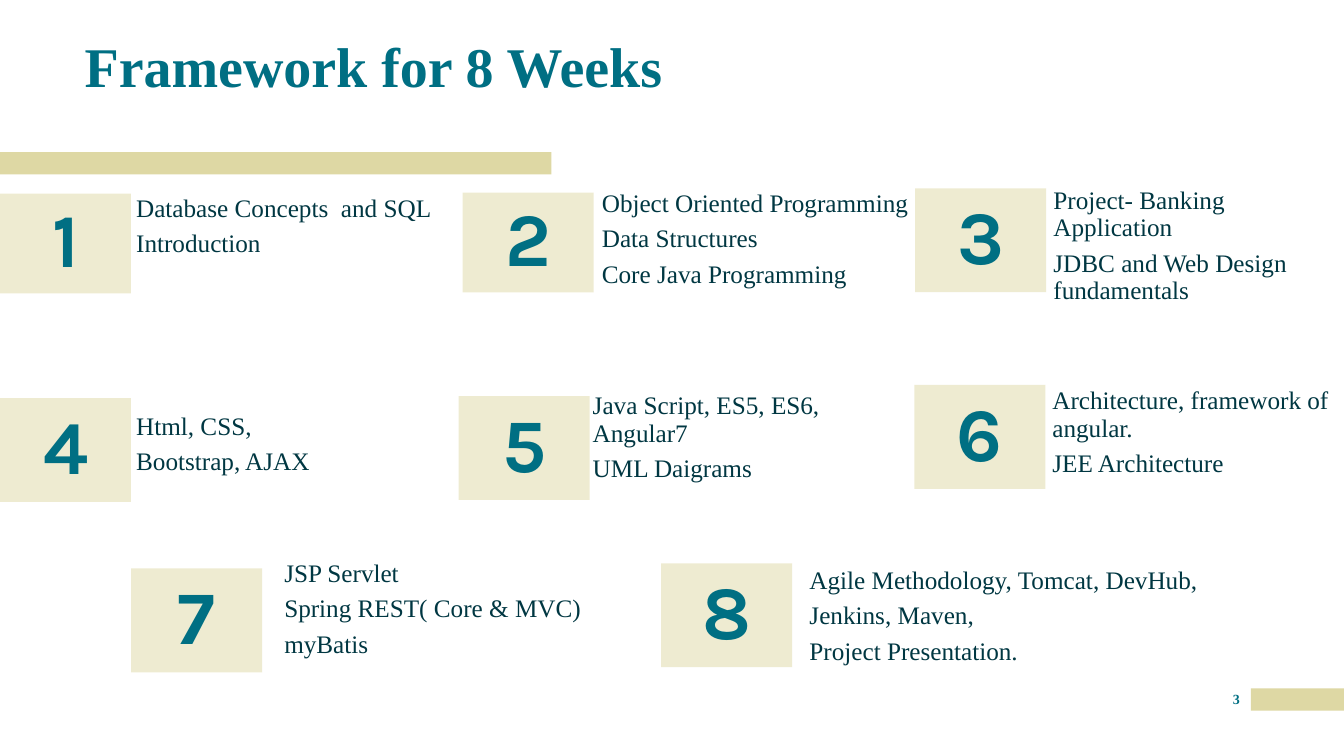
from copy import deepcopy
from dataclasses import dataclass

from pptx import Presentation
from pptx.dml.color import RGBColor
from pptx.enum.shapes import MSO_SHAPE
from pptx.enum.text import MSO_ANCHOR as Anchor, MSO_AUTO_SIZE as AutoSize, PP_ALIGN as Align
from pptx.oxml import parse_xml
from pptx.oxml.ns import nsdecls
from pptx.util import Inches, Pt

COLORS = {"sand": "DED8A4", "teal": "006F83", "ink": "003742"}
SERIF, DISPLAY = "Times New Roman", "Karla"
SLIDE_W, SLIDE_H = Inches(13.333), Inches(7.5)
CARD_W = 9.75


@dataclass(frozen=True)
class Box:
    """An area in percent of the slide's width and height."""
    x: float
    y: float
    w: float
    h: float

    def emu(self) -> tuple[int, int, int, int]:
        return (round(SLIDE_W * self.x / 100), round(SLIDE_H * self.y / 100),
                round(SLIDE_W * self.w / 100), round(SLIDE_H * self.h / 100))


@dataclass(frozen=True)
class Week:
    card: Box
    area: Box
    topics: tuple[str, ...]


BARS = [Box(93.08, 91.07, 6.92, 2.93), Box(0, 20.13, 41.03, 2.93)]
TITLE = Box(6.3, 4.53, 63.98, 16.8)
PAGE_NUMBER = Box(90.9, 91.33, 2.18, 3.33)

WEEKS = [
    Week(Box(0, 25.6, CARD_W, 13.2), Box(10.13, 25.87, 24.15, 12.93),
         ("Database Concepts  and SQL", "Introduction")),
    Week(Box(34.43, 25.47, CARD_W, 13.2), Box(44.78, 25.2, 24, 13.47),
         ("Object Oriented Programming", "Data Structures", "Core Java Programming")),
    Week(Box(68.1, 24.93, CARD_W, 13.73), Box(78.38, 24.8, 21.6, 13.47),
         ("Project- Banking Application", "JDBC and Web Design fundamentals")),
    Week(Box(0, 52.67, CARD_W, 13.73), Box(10.13, 54.67, 24, 16.53),
         ("Html, CSS,", "Bootstrap, AJAX")),
    Week(Box(34.13, 52.4, CARD_W, 13.73), Box(44.1, 52, 24, 16.53),
         ("Java Script, ES5, ES6, Angular7", "UML Daigrams")),
    Week(Box(68.03, 50.93, CARD_W, 13.73), Box(78.3, 51.33, 21.68, 16.53),
         ("Architecture, framework of angular.", "JEE Architecture")),
    Week(Box(9.75, 75.2, CARD_W, 13.73), Box(21.15, 74.13, 24, 16.53),
         ("JSP Servlet", "Spring REST( Core & MVC)", "myBatis")),
    Week(Box(49.2, 74.53, CARD_W, 13.73), Box(60.23, 75.07, 30.9, 17.87),
         ("Agile Methodology, Tomcat, DevHub,", "Jenkins, Maven,", "Project Presentation.")),
]


def place(sp, box: Box) -> None:
    sp.left, sp.top, sp.width, sp.height = box.emu()


def write(sp, lines: tuple[str, ...], size: int, color: str, font: str = SERIF,
          bold: bool = False, align: Align = Align.LEFT, anchor: Anchor = Anchor.TOP,
          spacing: float = 0.9) -> None:
    tf = sp.text_frame
    tf.text = "\n".join(lines)
    tf.word_wrap, tf.auto_size, tf.vertical_anchor = True, AutoSize.NONE, anchor
    tf.margin_left = tf.margin_top = tf.margin_right = tf.margin_bottom = 0
    for i, p in enumerate(tf.paragraphs):
        p.alignment, p.line_spacing = align, spacing
        p.space_before = Pt(6 if i else 0)
        for r in p.runs:
            r.font.name, r.font.size, r.font.bold = font, Pt(size), bold
            r.font.color.rgb = RGBColor.from_string(COLORS[color])


def add_block(slide, box: Box, opacity: int = 100):
    sp = slide.shapes.add_shape(MSO_SHAPE.RECTANGLE, *box.emu())
    sp.shadow.inherit = False
    sp.line.fill.background()
    sp.fill.solid()
    sp.fill.fore_color.rgb = RGBColor.from_string(COLORS["sand"])
    if opacity < 100:
        color = sp.element.spPr.find(".//{*}srgbClr")
        color.append(parse_xml(f'<a:alpha {nsdecls("a")} val="{opacity * 1000}"/>'))
    return sp


def fill_list(sp, week: Week) -> None:
    place(sp, week.area)
    write(sp, week.topics, 18, "ink")
    for p in sp.text_frame.paragraphs:
        pPr = p._p.get_or_add_pPr()
        pPr.set("marL", "0")
        pPr.set("indent", "0")
        pPr.append(parse_xml(f'<a:buNone {nsdecls("a")}/>'))


def layout_with_bodies(prs, count: int):
    """Extend the title-and-content layout to one body placeholder per week."""
    layout = prs.slide_layouts[1]
    body = layout.placeholders[1].element
    for n in range(1, count):
        twin = deepcopy(body)
        twin.ph.idx = 20 + n
        twin.nvSpPr.cNvPr.id = 100 + n
        layout.shapes._spTree.append(twin)
    return layout


def main() -> None:
    prs = Presentation()
    prs.slide_width, prs.slide_height = SLIDE_W, SLIDE_H
    slide = prs.slides.add_slide(layout_with_bodies(prs, len(WEEKS)))
    title, *bodies = list(slide.placeholders)

    # Accent bars
    for bar in BARS:
        add_block(slide, bar)

    # Title
    place(title, TITLE)
    write(title, ("Framework for 8 Weeks",), 40, "teal", bold=True)
    title.text_frame.margin_top = Inches(0.05)

    # Numbered cards and their topics
    for number, (week, body) in enumerate(zip(WEEKS, bodies), start=1):
        card = add_block(slide, week.card, opacity=50)
        write(card, (str(number),), 54, "teal", DISPLAY, True, Align.CENTER, Anchor.MIDDLE)
        fill_list(body, week)

    # Page number
    page = slide.shapes.add_textbox(*PAGE_NUMBER.emu())
    write(page, ("3",), 10, "teal", bold=True, align=Align.CENTER, spacing=1.0)

    prs.save("out.pptx")


if __name__ == "__main__":
    main()
